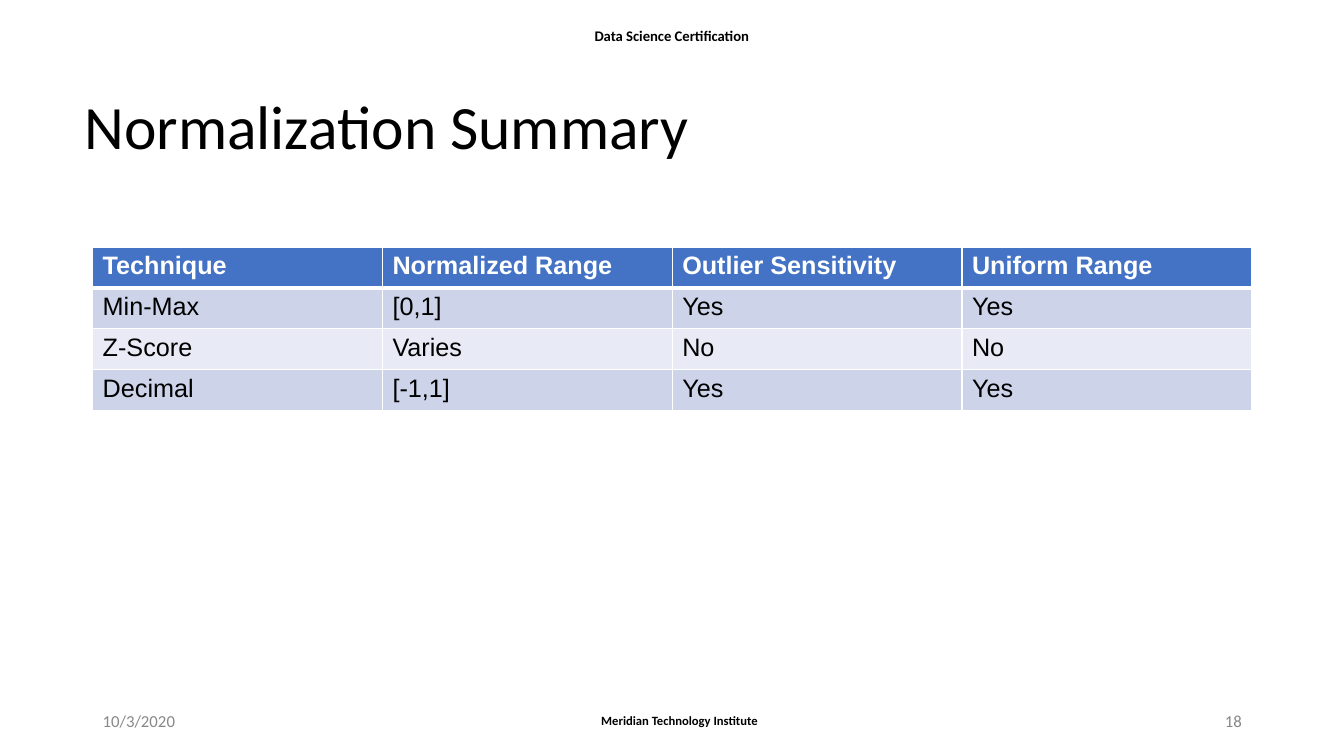
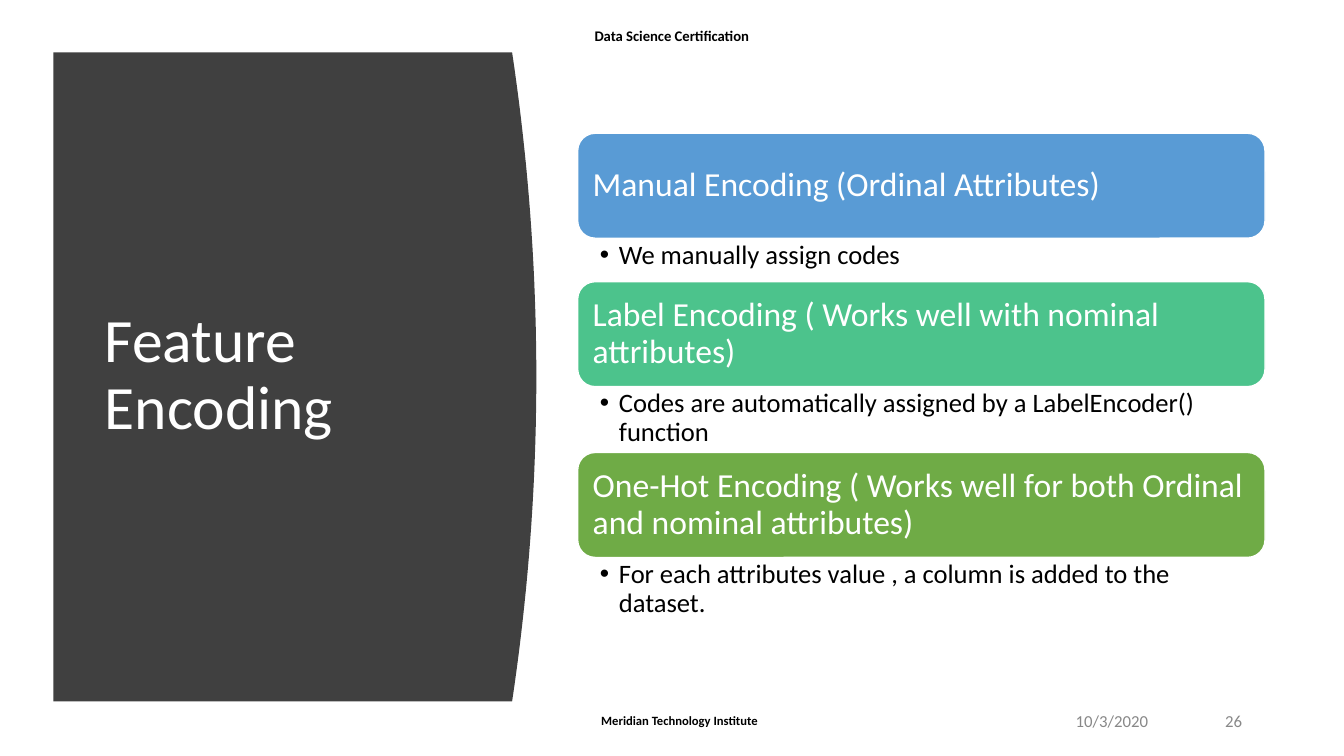
from lxml.etree import SubElement
from pptx import Presentation
from pptx.dml.color import RGBColor
from pptx.enum.shapes import MSO_SHAPE
from pptx.enum.text import MSO_ANCHOR, PP_ALIGN
from pptx.oxml.ns import qn
from pptx.util import Pt

WHITE, BLACK, GREY = "FFFFFF", "000000", "888888"
HEADER_BLUE, ROW_DARK, ROW_LIGHT = "4472C4", "CDD4EA", "E8EBF5"
PANEL = "404040"
FOOTER_TOP, FOOTER_HEIGHT = 500.4, 28.8


def color(value):
    return RGBColor.from_string(value)


class Deck:
    font = "Calibri"
    table_font = "Arial"
    insets = (7.2, 3.6, 7.2, 3.6)

    def __init__(self):
        self.presentation = Presentation()
        self.presentation.slide_width = Pt(960)
        self.presentation.slide_height = Pt(540)
        self.slide = None

    def new_slide(self):
        self.slide = self.presentation.slides.add_slide(self.presentation.slide_layouts[6])
        self.text("Meridian Technology Institute", 416.9, FOOTER_TOP, 136.8, FOOTER_HEIGHT,
                  9, bold=True, align=PP_ALIGN.CENTER)
        self.text("Data Science Certification", 395.3, 10.8, 169.2, 28.8,
                  10.5, bold=True, align=PP_ALIGN.CENTER)

    def format_runs(self, paragraph, size, value, bold=False, font=None):
        for run in paragraph.runs:
            run.font.name = font or self.font
            run.font.size = Pt(size)
            run.font.bold = bold
            run.font.color.rgb = color(value)

    def fill_text(self, shape, content, size, value, bold=False, align=PP_ALIGN.LEFT,
                  anchor=MSO_ANCHOR.MIDDLE, spacing=None, insets=insets):
        frame = shape.text_frame
        frame.word_wrap = True
        frame.vertical_anchor = anchor
        frame.margin_left, frame.margin_top, frame.margin_right, frame.margin_bottom = map(Pt, insets)
        frame.text = content
        paragraph = frame.paragraphs[0]
        paragraph.alignment = align
        paragraph.line_spacing = spacing
        self.format_runs(paragraph, size, value, bold)
        return paragraph

    def text(self, content, left, top, width, height, size, value=BLACK, **style):
        box = self.slide.shapes.add_textbox(Pt(left), Pt(top), Pt(width), Pt(height))
        return self.fill_text(box, content, size, value, **style)

    def title(self, content, left, top, width, height, value=BLACK):
        self.text(content, left, top, width, height, 44, value, spacing=0.9)

    def footer(self, content, left, width, align=PP_ALIGN.RIGHT):
        self.text(content, left, FOOTER_TOP, width, FOOTER_HEIGHT, 12, GREY, align=align)

    def bullet(self, content, left, top, width, height):
        paragraph = self.text(content, left, top, width, height, 19, spacing=0.9,
                              anchor=MSO_ANCHOR.TOP, insets=(15.8, 2.2, 13.7, 2.2))
        properties = paragraph._p.get_or_add_pPr()
        properties.set("marL", str(Pt(13.7)))
        properties.set("indent", str(Pt(-13.7)))
        SubElement(properties, qn("a:buFont"), typeface="Arial")
        SubElement(properties, qn("a:buChar"), char="•")

    def card(self, content, left, top, width, height, fill):
        shape = self.slide.shapes.add_shape(
            MSO_SHAPE.ROUNDED_RECTANGLE, Pt(left), Pt(top), Pt(width), Pt(height))
        shape.shadow.inherit = False
        shape.fill.solid()
        shape.fill.fore_color.rgb = color(fill)
        shape.line.color.rgb = color(WHITE)
        shape.line.width = Pt(1)
        self.fill_text(shape, content, 24, WHITE, spacing=0.9, insets=(7.2,) * 4)

    def curved_panel(self, left, top, shoulder, bulge, height, fill, steps=40):
        builder = self.slide.shapes.build_freeform(Pt(left), Pt(top))
        points = []
        for step in range(steps + 1):
            offset = 2 * step / steps - 1
            points.append((Pt(shoulder + bulge * (1 - offset ** 2)),
                           Pt(top + height * step / steps)))
        points.append((Pt(left), Pt(top + height)))
        builder.add_line_segments(points, close=True)
        shape = builder.convert_to_shape()
        shape.shadow.inherit = False
        shape.fill.solid()
        shape.fill.fore_color.rgb = color(fill)
        shape.line.fill.background()

    def border(self, cell, side, width):
        line = SubElement(cell._tc.get_or_add_tcPr(), qn("a:" + side), w=str(Pt(width)))
        fill = SubElement(line, qn("a:solidFill"))
        SubElement(fill, qn("a:srgbClr"), val=WHITE)

    def table(self, rows, left, top, width, height):
        table = self.slide.shapes.add_table(
            len(rows), len(rows[0]), Pt(left), Pt(top), Pt(width), Pt(height)).table
        for row_index, row in enumerate(rows):
            header = row_index == 0
            fill = HEADER_BLUE if header else ROW_DARK if row_index % 2 else ROW_LIGHT
            widths = {"lnL": 1, "lnR": 1, "lnT": 3 if row_index == 1 else 1,
                      "lnB": 3 if header else 1}
            for column_index, content in enumerate(row):
                cell = table.cell(row_index, column_index)
                for side, line_width in widths.items():
                    self.border(cell, side, line_width)
                cell.fill.solid()
                cell.fill.fore_color.rgb = color(fill)
                cell.text_frame.text = content
                self.format_runs(cell.text_frame.paragraphs[0], 18,
                                 WHITE if header else BLACK, header, self.table_font)


def normalization_slide(deck):
    deck.new_slide()
    deck.title("Normalization Summary", 53.3, 54.7, 828, 76.3)
    deck.table([
        ("Technique", "Normalized Range", "Outlier Sensitivity", "Uniform Range"),
        ("Min-Max", "[0,1]", "Yes", "Yes"),
        ("Z-Score", "Varies", "No", "No"),
        ("Decimal", "[-1,1]", "Yes", "Yes"),
    ], 66.2, 176.4, 828, 116.8)
    deck.footer("10/3/2020", 66.2, 216, PP_ALIGN.LEFT)
    deck.footer("18", 678.2, 216)


def encoding_slide(deck):
    deck.new_slide()
    deck.curved_panel(38.2, 37.4, 365.8, 17.3, 463.7, PANEL)
    deck.title("Feature Encoding", 67.7, 79.9, 269.3, 377.3, WHITE)
    deck.footer("10/3/2020", 611.3, 216)
    deck.footer("26", 844.6, 49.7)
    encodings = [
        ("Manual Encoding (Ordinal Attributes)", "599BD5",
         "We manually assign codes", 31),
        ("Label Encoding ( Works well with nominal attributes)", "4CC38C",
         "Codes are automatically assigned by a LabelEncoder() function", 47),
        ("One-Hot Encoding ( Works well for both Ordinal and nominal attributes)", "6FAB46",
         "For each attributes value , a column is added to the dataset.", 47),
    ]
    left, top, width, card_height = 412.6, 95.2, 491, 75
    for heading, fill, note, note_height in encodings:
        deck.card(heading, left, top, width, card_height, fill)
        deck.bullet(note, left, top + card_height, width, note_height)
        top += card_height + note_height


deck = Deck()
normalization_slide(deck)
encoding_slide(deck)
deck.presentation.save("out.pptx")
